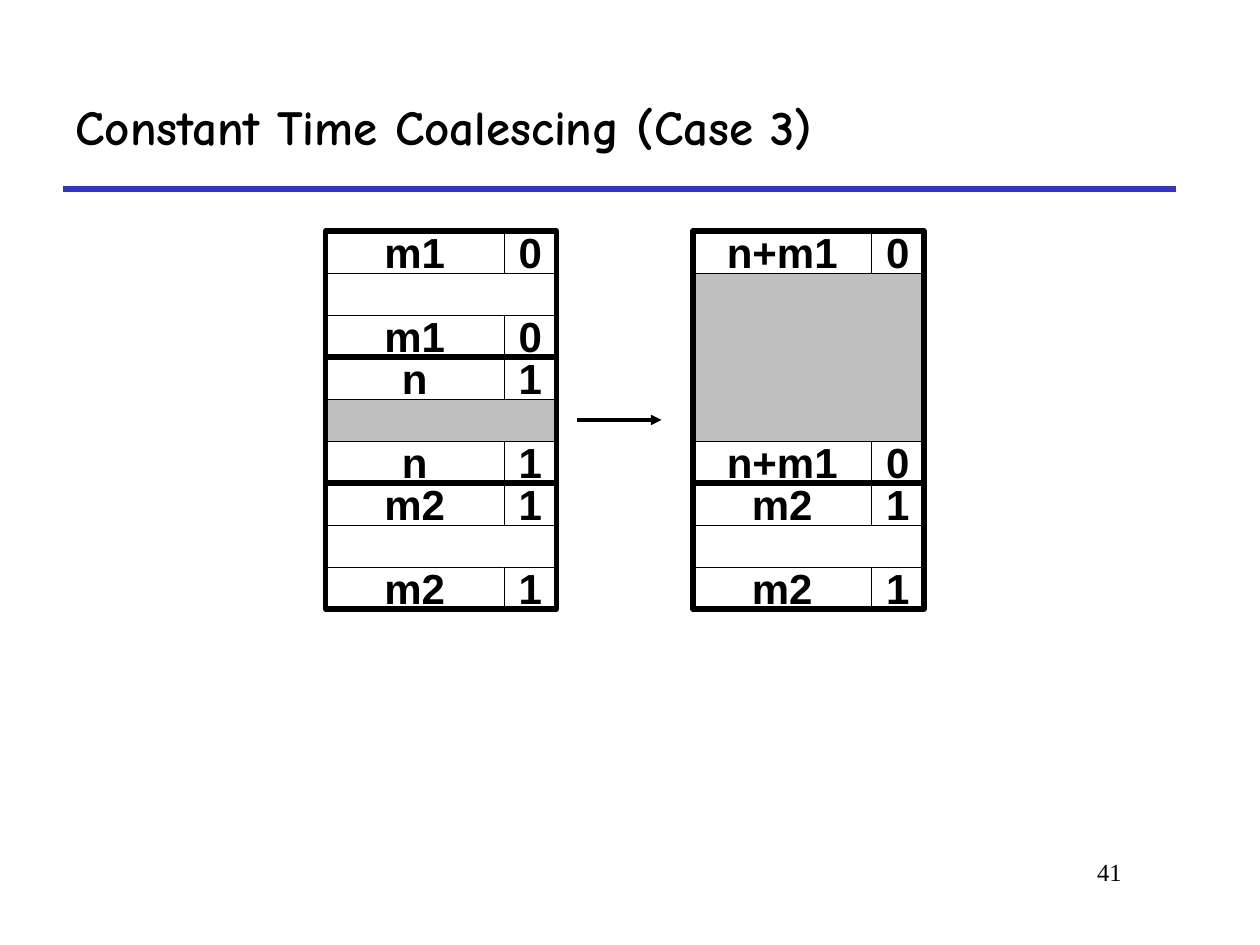
from dataclasses import dataclass
from typing import Optional

from lxml import etree
from pptx import Presentation, util as u
from pptx.dml.color import RGBColor
from pptx.enum import shapes, text
from pptx.oxml.ns import qn

BLACK = RGBColor(0x00, 0x00, 0x00)
WHITE = RGBColor(0xFF, 0xFF, 0xFF)
GRAY = RGBColor(0xC0, 0xC0, 0xC0)
BLUE = RGBColor(0x33, 0x33, 0xCC)

# The slide is a grid of 120 columns by 90 rows.
COLS, ROWS = 120, 90
UNIT = u.Inches(10) // COLS
TOP, ROW = 22, 4
SIZE_W, FLAG_W = 17, 5
WIDTH = SIZE_W + FLAG_W


@dataclass
class Font:
    name: str
    size: int
    bold: bool = False


@dataclass
class Block:
    size: str
    flag: str
    fill: RGBColor = WHITE
    rows: int = 3


@dataclass
class Heap:
    left: int
    blocks: list[Block]


CELL = Font("Arial", 24, True)
HEAPS = [
    Heap(31, [Block("m1", "0"), Block("n", "1", GRAY), Block("m2", "1")]),
    Heap(66, [Block("n+m1", "0", GRAY, 6), Block("m2", "1")]),
]


def grid(*vals: float) -> list[int]:
    return [round(v * UNIT) for v in vals]


def put_text(frame, words: str, font: Font, align) -> None:
    para = frame.paragraphs[0]
    para.alignment = align
    run = para.add_run()
    run.text = words
    run.font.name = font.name
    run.font.size = u.Pt(font.size)
    run.font.bold = font.bold
    run.font.color.rgb = BLACK


def add_text(slide, box: tuple, words: str, font: Font, align, anchor) -> None:
    frame = slide.shapes.add_textbox(*grid(*box)).text_frame
    frame.word_wrap = True
    frame.vertical_anchor = anchor
    put_text(frame, words, font, align)


def add_rect(slide, box: tuple, fill: Optional[RGBColor], line: float,
             words: str = "") -> None:
    rect = slide.shapes.add_shape(shapes.MSO_SHAPE.RECTANGLE, *grid(*box))
    rect.shadow.inherit = False
    if fill is None:
        rect.fill.background()
    else:
        rect.fill.solid()
        rect.fill.fore_color.rgb = fill
    rect.line.color.rgb = BLACK
    rect.line.width = u.Pt(line)
    if words:
        frame = rect.text_frame
        frame.word_wrap = False
        frame.vertical_anchor = text.MSO_ANCHOR.MIDDLE
        put_text(frame, words, CELL, text.PP_ALIGN.CENTER)


def add_line(slide, ends: tuple, color: RGBColor, width: float,
             arrow: bool = False) -> None:
    line = slide.shapes.add_connector(shapes.MSO_CONNECTOR.STRAIGHT, *grid(*ends))
    line.line.color.rgb = color
    line.line.width = u.Pt(width)
    props = line._element.spPr
    if arrow:
        etree.SubElement(props.find(qn("a:ln")), qn("a:tailEnd"), type="triangle")
    etree.SubElement(props, qn("a:effectLst"))


def add_block(slide, left: int, top: int, block: Block) -> None:
    """Draw header and footer tags around the body, then a thick frame."""
    high = block.rows * ROW
    foot = top + high - ROW
    add_rect(slide, (left, top + ROW, WIDTH, high - 2 * ROW), block.fill, 0.25)
    for y in (top, foot):
        add_rect(slide, (left, y, SIZE_W, ROW), WHITE, 0.25, block.size)
        add_rect(slide, (left + SIZE_W, y, FLAG_W, ROW), WHITE, 0.25, block.flag)
    add_rect(slide, (left, top, WIDTH, high), None, 3)


def add_heap(slide, heap: Heap) -> None:
    top = TOP
    for block in heap.blocks:
        add_block(slide, heap.left, top, block)
        top += block.rows * ROW


def main() -> None:
    deck = Presentation()
    deck.slide_width, deck.slide_height = grid(COLS, ROWS)
    slide = deck.slides.add_slide(deck.slide_layouts[6])

    add_line(slide, (6, 18, 112, 18), BLUE, 3)
    add_text(slide, (6, 6, 106, 12), "Constant Time Coalescing (Case 3)",
             Font("Comic Neue", 28, True), text.PP_ALIGN.LEFT, text.MSO_ANCHOR.MIDDLE)
    for heap in HEAPS:
        add_heap(slide, heap)
    add_line(slide, (55, 40, 63, 40), BLACK, 2, arrow=True)
    add_text(slide, (91, 81, 17, 6), "41", Font("Times New Roman", 14),
             text.PP_ALIGN.RIGHT, text.MSO_ANCHOR.TOP)
    deck.save("out.pptx")


if __name__ == "__main__":
    main()
